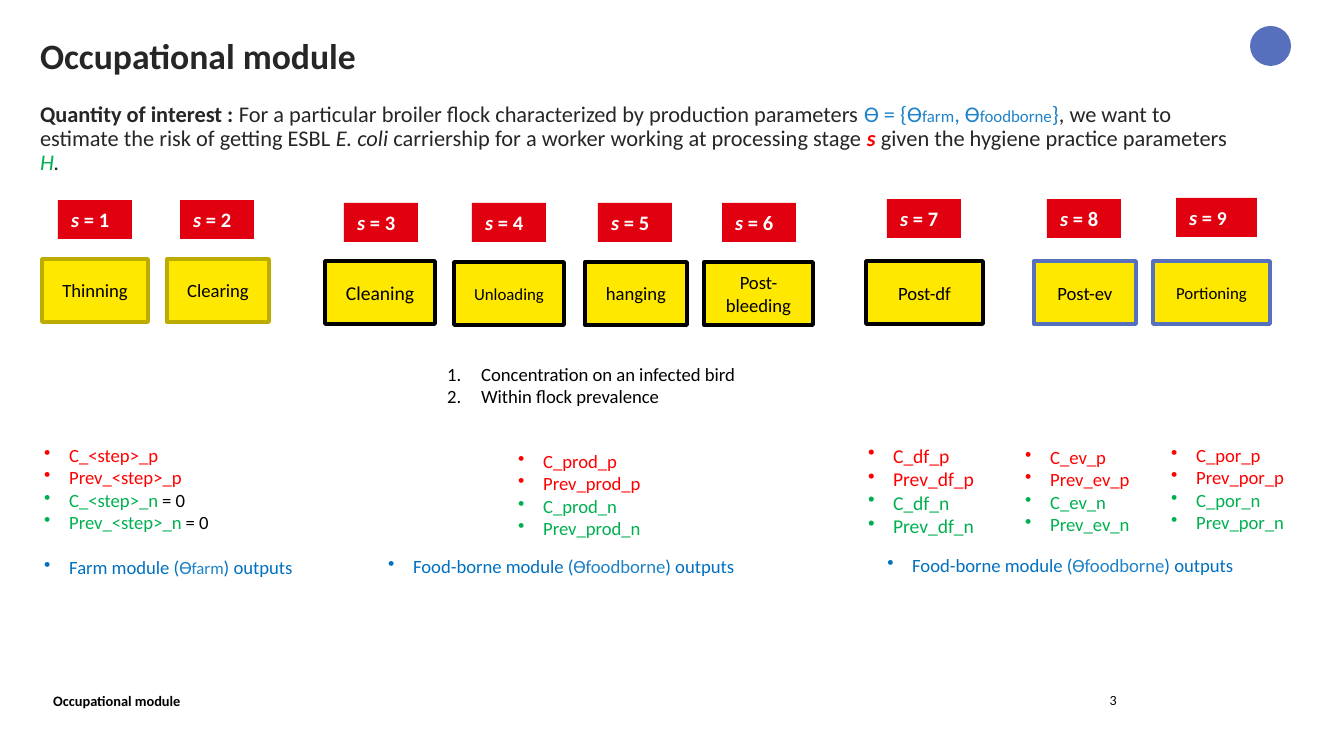
from lxml.etree import SubElement
from pptx import Presentation
from pptx.dml.color import RGBColor
from pptx.enum.shapes import MSO_SHAPE as Shape
from pptx.enum.text import MSO_ANCHOR as Anchor, MSO_AUTO_SIZE as Fit, PP_ALIGN as Align
from pptx.oxml.ns import qn
from pptx.util import Pt

SCALE = 914400 / 134.4
BLACK, DARK, WHITE = "000000", "262626", "FFFFFF"
RED, GREEN, BLUE, SKY = "FF0000", "00B050", "0070C0", "2082C8"
CRIMSON, YELLOW, OLIVE, SLATE = "E1000F", "FFE800", "BDAC00", "5770BE"


def px(n):
    return round(n * SCALE)


def tint(code):
    return RGBColor.from_string(code)


class Deck:
    font = "Calibri"

    def __init__(self, wide, high):
        self.file = Presentation()
        self.file.slide_width, self.file.slide_height = px(wide), px(high)
        self.slide = self.file.slides.add_slide(self.file.slide_layouts[1])

    def run(self, para, text, size, color, style=""):
        run = para.add_run()
        run.text = text
        font = run.font
        font.name, font.size = self.font, Pt(size)
        font.bold, font.italic = "b" in style, "i" in style
        font.color.rgb = tint(color)

    def mark(self, para, kind, indent=0, **attrs):
        props = para._p.get_or_add_pPr()
        props.set("marL", str(px(indent)))
        props.set("indent", str(px(-indent)))
        SubElement(props, qn("a:" + kind), **attrs)

    def fill(self, frame, lines, align=Align.LEFT, anchor=Anchor.TOP):
        frame.word_wrap, frame.auto_size = True, Fit.NONE
        frame.vertical_anchor = anchor
        for i, runs in enumerate(lines):
            para = frame.add_paragraph() if i else frame.paragraphs[0]
            para.alignment = align
            for run in runs:
                self.run(para, *run)
        return frame.paragraphs

    def place(self, holder, spot, runs):
        holder.left, holder.top, holder.width, holder.height = map(px, spot)
        frame = holder.text_frame
        frame.margin_left = frame.margin_right = 0
        frame.margin_top = frame.margin_bottom = 0
        para = self.fill(frame, [runs])[0]
        para.line_spacing, para.space_before = 0.9, Pt(0)
        self.mark(para, "buNone")

    def text(self, spot, lines, **opts):
        box = self.slide.shapes.add_textbox(*map(px, spot))
        return self.fill(box.text_frame, lines, **opts)

    def dots(self, spot, lines, gaps={}):
        for i, para in enumerate(self.text(spot, lines)):
            para.space_before = Pt(gaps.get(i, 0))
            self.mark(para, "buChar", 25, char="•")

    def steps(self, spot, lines):
        for para in self.text(spot, lines):
            self.mark(para, "buAutoNum", 34, type="arabicPeriod")

    def shape(self, spot, color, edge=None, kind=Shape.RECTANGLE):
        shape = self.slide.shapes.add_shape(kind, *map(px, spot))
        shape.shadow.inherit = False
        shape.fill.solid()
        shape.fill.fore_color.rgb = tint(color)
        if edge:
            shape.line.color.rgb = tint(edge)
            shape.line.width = Pt(2)
        else:
            shape.line.fill.background()
        return shape.text_frame

    def tag(self, spot, num, size):
        runs = [("s", 11, WHITE, "bi"), (" = ", 11, WHITE, "b"), (num, size, WHITE, "b")]
        self.fill(self.shape(spot, CRIMSON), [runs])

    def stage(self, spot, name, size, edge):
        frame = self.shape(spot, YELLOW, edge)
        self.fill(frame, [[(name, size, BLACK)]], Align.CENTER, Anchor.MIDDLE)


def rates(step, size=10):
    return [[(f"{name}_{step}_{sign}", size, color)]
            for sign, color in (("p", RED), ("n", GREEN)) for name in ("C", "Prev")]


def main():
    deck = Deck(1344, 756)
    title, body = deck.slide.placeholders
    deck.place(title, (40, 39, 1199, 94), [("Occupational module", 19.1, DARK, "b")])
    deck.place(body, (40, 103, 1199, 94), [
        ("Quantity of interest : ", 12, DARK, "b"),
        ("For a particular broiler flock characterized by production parameters ", 12, DARK),
        ("Ɵ = {Ɵ", 12, SKY), ("farm", 9, SKY), (", Ɵ", 12, SKY),
        ("foodborne", 9, SKY), ("}", 12, SKY),
        (", we want to estimate the risk of getting ESBL ", 12, DARK),
        ("E. coli ", 12, DARK, "i"),
        ("carriership for a worker working at processing stage ", 12, DARK),
        ("s ", 12, RED, "bi"),
        ("given the hygiene practice parameters ", 12, DARK),
        ("H", 12, GREEN, "i"), (".", 12, DARK, "i")])
    deck.shape((1250, 26, 41, 40), SLATE, kind=Shape.OVAL)

    stages = [
        ("Thinning", 10, OLIVE, 42, 259, 106, 58, 200),
        ("Clearing", 10, OLIVE, 167, 259, 102, 180, 200),
        ("Cleaning", 10.5, BLACK, 325, 261, 110, 344, 203),
        ("Unloading", 9, BLACK, 454, 262, 110, 472, 203),
        ("hanging", 10, BLACK, 585, 262, 102, 598, 203),
        ("Post-bleeding", 10, BLACK, 704, 262, 109, 722, 203),
        ("Post-df", 10, BLACK, 866, 261, 117, 887, 199),
        ("Post-ev", 10, SLATE, 1034, 261, 102, 1047, 199),
        ("Portioning", 9, SLATE, 1153, 261, 117, 1176, 198),
    ]
    for num, (name, size, edge, left, top, wide, x, y) in enumerate(stages, 1):
        last = num == len(stages)
        deck.tag((x, y, 81 if last else 74, 39), str(num), 10.5 if last else 11)
        deck.stage((left, top, wide, 63), name, size, edge)

    deck.steps((434, 356, 374, 82), [
        [("Concentration on an infected bird", 10, BLACK)],
        [("Within flock prevalence", 10, BLACK)]])

    farm = rates("<step>")
    for runs in farm[2:]:
        name, size, color = runs[0]
        runs[:] = [(name + " ", size, color), ("= 0", size, BLACK)]
    farm.append([("Farm module (", 10, BLUE), ("Ɵ", 10, SKY),
                 ("farm", 9, SKY), (") outputs", 10, BLUE)])
    deck.dots((31, 437, 328, 222), farm, {4: 12})
    deck.dots((505, 443, 179, 103), rates("prod"))
    deck.dots((855, 437, 184, 109), rates("df", 10.5))
    deck.dots((1012, 439, 164, 126), rates("ev"))
    deck.dots((1158, 437, 184, 103), rates("por"))
    for left, top in ((375, 548), (874, 547)):
        deck.dots((left, top, 442, 36), [[
            ("Food-borne module (", 10, BLUE), ("Ɵfoodborne", 10, SKY),
            (") outputs", 10, BLUE)]])

    deck.text((40, 685, 454, 31), [[("Occupational module", 7.7, BLACK, "b")]],
              anchor=Anchor.BOTTOM)
    deck.text((931, 685, 199, 31), [[("3", 7.5, BLACK)]], align=Align.RIGHT)
    deck.file.save("out.pptx")


if __name__ == "__main__":
    main()
